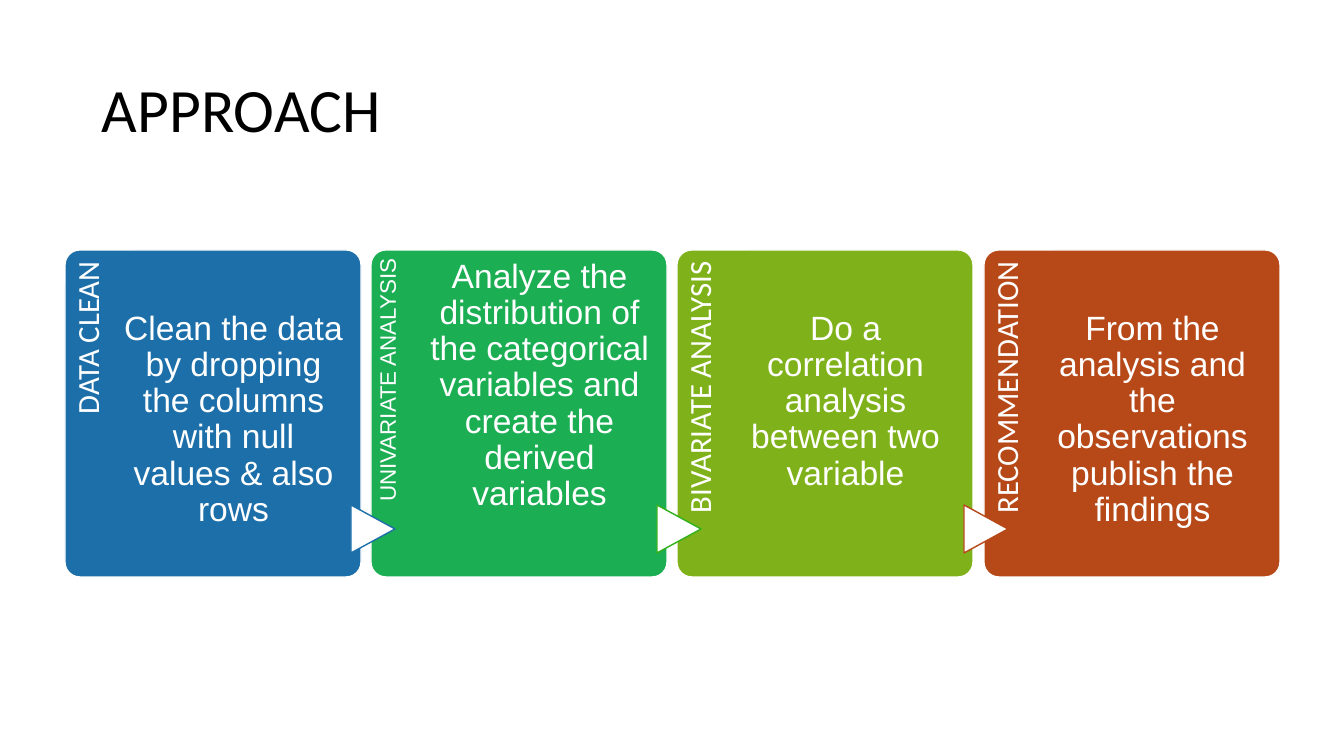
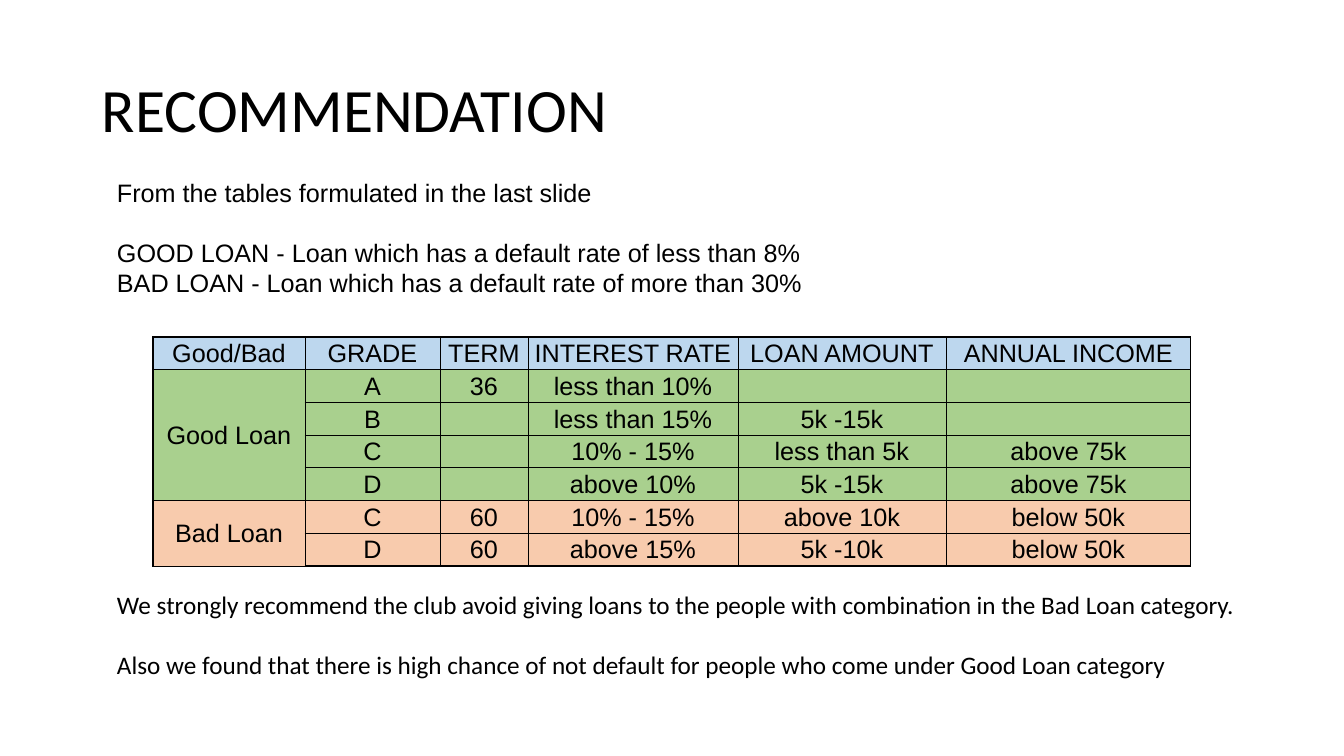
from lxml import etree
from pptx import Presentation
from pptx.dml.color import RGBColor
from pptx.enum.shapes import MSO_SHAPE
from pptx.enum.text import MSO_ANCHOR, PP_ALIGN
from pptx.oxml.ns import qn
from pptx.util import Emu, Pt

ROUNDED, TRIANGLE = MSO_SHAPE.ROUNDED_RECTANGLE, MSO_SHAPE.FLOWCHART_EXTRACT
TOP, MIDDLE = MSO_ANCHOR.TOP, MSO_ANCHOR.MIDDLE
LEFT, CENTER, RIGHT = PP_ALIGN.LEFT, PP_ALIGN.CENTER, PP_ALIGN.RIGHT
BLACK, WHITE = "000000", "FFFFFF"
TITLE_FONT, BODY_FONT = "Calibri", "Arial"
color = RGBColor.from_string


def px(length):
    return Emu(round(length * 914400 / 100.8))


def add_text(slide, box, lines, size, font, ink=BLACK, align=LEFT, anchor=TOP,
             insets=(10, 5, 10, 5), spacing=1.0, gap_before=None):
    """Add a text box; gap_before is the index of a line set one line lower."""
    shape = slide.shapes.add_textbox(*map(px, box))
    frame = shape.text_frame
    frame.word_wrap = True
    frame.vertical_anchor = anchor
    (frame.margin_left, frame.margin_top,
     frame.margin_right, frame.margin_bottom) = map(px, insets)
    for index, line in enumerate(lines):
        paragraph = frame.paragraphs[0] if index == 0 else frame.add_paragraph()
        paragraph.alignment = align
        paragraph.line_spacing = spacing
        if index == gap_before:
            paragraph.space_before = Pt(21.5)
        run = paragraph.add_run()
        run.text = line
        run.font.size = Pt(size)
        run.font.name = font
        run.font.color.rgb = color(ink)
    return shape


presentation = Presentation()
presentation.slide_width, presentation.slide_height = px(1344), px(756)

# Slides with the shared title style
slides = []
for title in ("APPROACH", "RECOMMENDATION"):
    slide = presentation.slides.add_slide(presentation.slide_layouts[6])
    add_text(slide, (92, 40, 1159, 146), [title], 44, TITLE_FONT,
             anchor=MIDDLE, spacing=0.9)
    slides.append(slide)
approach, recommendation = slides

# Approach: four step panels joined by arrows
# label, label size, label font, label insets, panel fill, arrow line, body, body top
wide, narrow = (0, 8, 11, 0), (0, 6, 8, 0)
steps = [
    ("DATA CLEAN", 22, TITLE_FONT, wide, "1D6FA9", None,
     "Clean the data by dropping the columns with null values & also rows", 61),
    ("UNIVARIATE ANALYSIS", 16, BODY_FONT, narrow, "1CAE53", "1D6FA9",
     "Analyze the distribution of the categorical variables and create the "
     "derived variables", 9),
    ("BIVARIATE ANALYSIS", 22, TITLE_FONT, wide, "7FB21A", "30B01B",
     "Do a correlation analysis between two variable", 61),
    ("RECOMMENDATION", 22, TITLE_FONT, wide, "B74919", "B74919",
     "From the analysis and the observations publish the findings", 61),
]
panel_top, panel_width, panel_height = 250, 296, 327
for index, (label, size, font, insets, fill, arrow_line, body, body_top) in enumerate(steps):
    left = 65 + index * 919 // 3
    parts = [(ROUNDED, (left, panel_top, panel_width, panel_height), fill, WHITE)]
    if arrow_line:
        parts.append((TRIANGLE, (left - 22, 507, 48, 44), WHITE, arrow_line))
    for kind, box, part_fill, part_line in parts:
        shape = approach.shapes.add_shape(kind, *map(px, box))
        shape.shadow.inherit = False
        shape.fill.solid()
        shape.fill.fore_color.rgb = color(part_fill)
        shape.line.color.rgb = color(part_line)
        shape.line.width = Pt(1)
        if kind == ROUNDED:
            shape.adjustments[0] = 0.05
        else:
            shape.rotation = 90
    step_label = add_text(approach, (left - 105, 355, 268, 59), [label], size, font,
                          WHITE, RIGHT, insets=insets, spacing=0.9)
    step_label.rotation = 270
    add_text(approach, (left + 58, panel_top, 221, panel_height), [body], 24, BODY_FONT,
             WHITE, CENTER, insets=(0, body_top, 0, 0), spacing=0.9)

# Recommendation: loan table
rows = [
    ("Good/Bad", "GRADE", "TERM", "INTEREST RATE", "LOAN AMOUNT", "ANNUAL INCOME"),
    ("Good Loan", "A", "36", "less than 10%", "", ""),
    ("", "B", "", "less than 15%", "5k -15k", ""),
    ("", "C", "", "10% - 15%", "less than 5k", "above 75k"),
    ("", "D", "", "above 10%", "5k -15k", "above 75k"),
    ("Bad Loan", "C", "60", "10% - 15%", "above 10k", "below 50k"),
    ("", "D", "60", "above 15%", "5k -10k", "below 50k"),
]
row_fills = ["BDD7EE"] + ["A9D08E"] * 4 + ["F8CBAD"] * 2
column_widths = [152, 135, 88, 210, 208, 245]
table_height = 229
last_row, last_column = len(rows) - 1, len(column_widths) - 1
table = recommendation.shapes.add_table(
    len(rows), len(column_widths), px(153), px(337),
    px(sum(column_widths)), px(table_height)).table
table.first_row = table.horz_banding = False
for column, width in zip(table.columns, column_widths):
    column.width = px(width)
for row_index, values in enumerate(rows):
    table.rows[row_index].height = px(table_height / len(rows))
    for column_index, value in enumerate(values):
        cell = table.cell(row_index, column_index)
        cell.margin_left = cell.margin_right = cell.margin_top = px(1)
        cell.margin_bottom = 0
        cell.vertical_anchor = MIDDLE
        # Outer borders are 1 pt, inner ones half a point
        outer_sides = {"a:lnL": column_index == 0, "a:lnR": column_index == last_column,
                       "a:lnT": row_index == 0, "a:lnB": row_index == last_row}
        for side, outer in outer_sides.items():
            border = etree.SubElement(cell._tc.get_or_add_tcPr(), qn(side),
                                      w=str(Pt(1 if outer else 0.5)))
            border_fill = etree.SubElement(border, qn("a:solidFill"))
            etree.SubElement(border_fill, qn("a:srgbClr"), val=BLACK)
        cell.fill.solid()
        cell.fill.fore_color.rgb = color(row_fills[row_index])
        if value:
            paragraph = cell.text_frame.paragraphs[0]
            paragraph.alignment = CENTER
            run = paragraph.add_run()
            run.text = value
            run.font.size = Pt(18)
            run.font.name = BODY_FONT
            run.font.color.rgb = color(BLACK)
for first, last in ((1, 4), (5, 6)):
    table.cell(first, 0).merge(table.cell(last, 0))

# Recommendation: text above and below the table
add_text(recommendation, (107, 172, 1058, 132), [
    "From the tables formulated in the last slide",
    "GOOD LOAN - Loan which has a default rate of less than 8%",
    "BAD LOAN - Loan which has a default rate of more than 30%",
], 18, BODY_FONT, gap_before=1)
add_text(recommendation, (107, 584, 1159, 102), [
    "We strongly recommend the club avoid giving loans to the people with "
    "combination in the Bad Loan category.",
    "Also we found that there is high chance of not default for people who come "
    "under Good Loan category",
], 18, TITLE_FONT, gap_before=1)

presentation.save("out.pptx")
